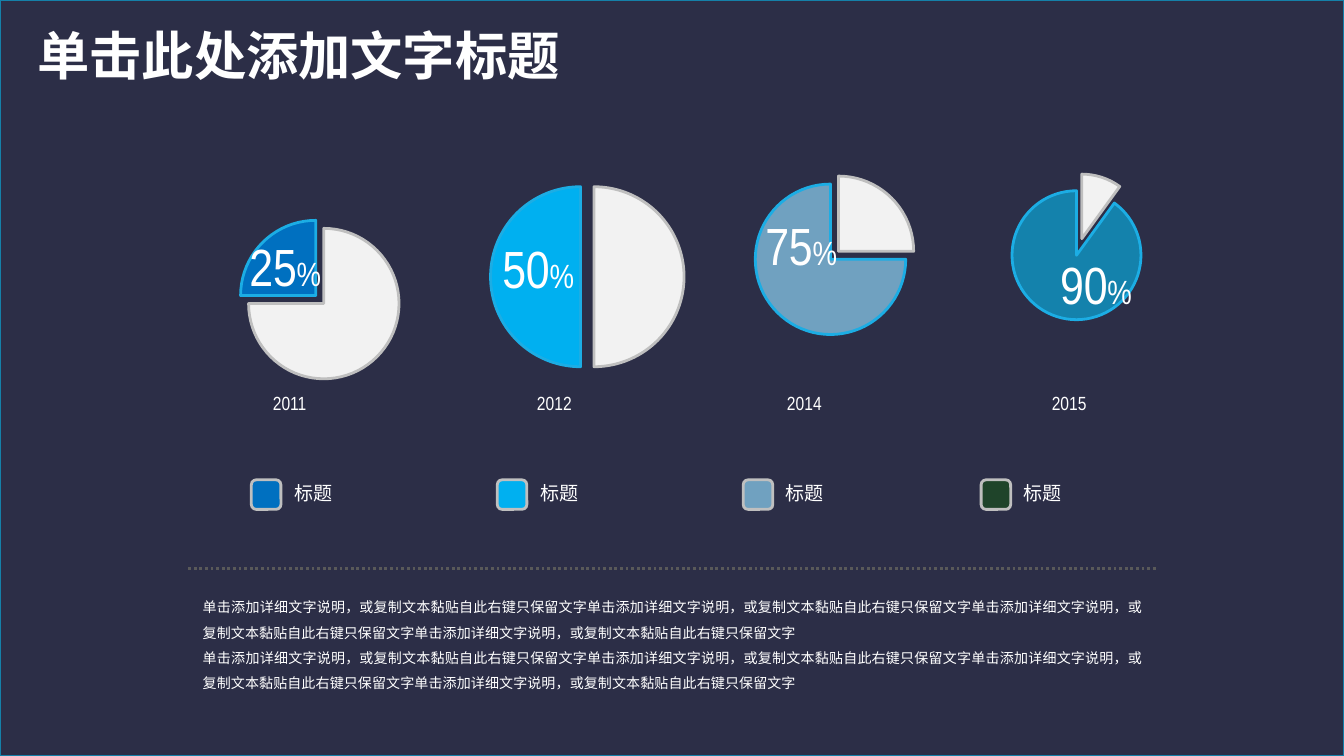
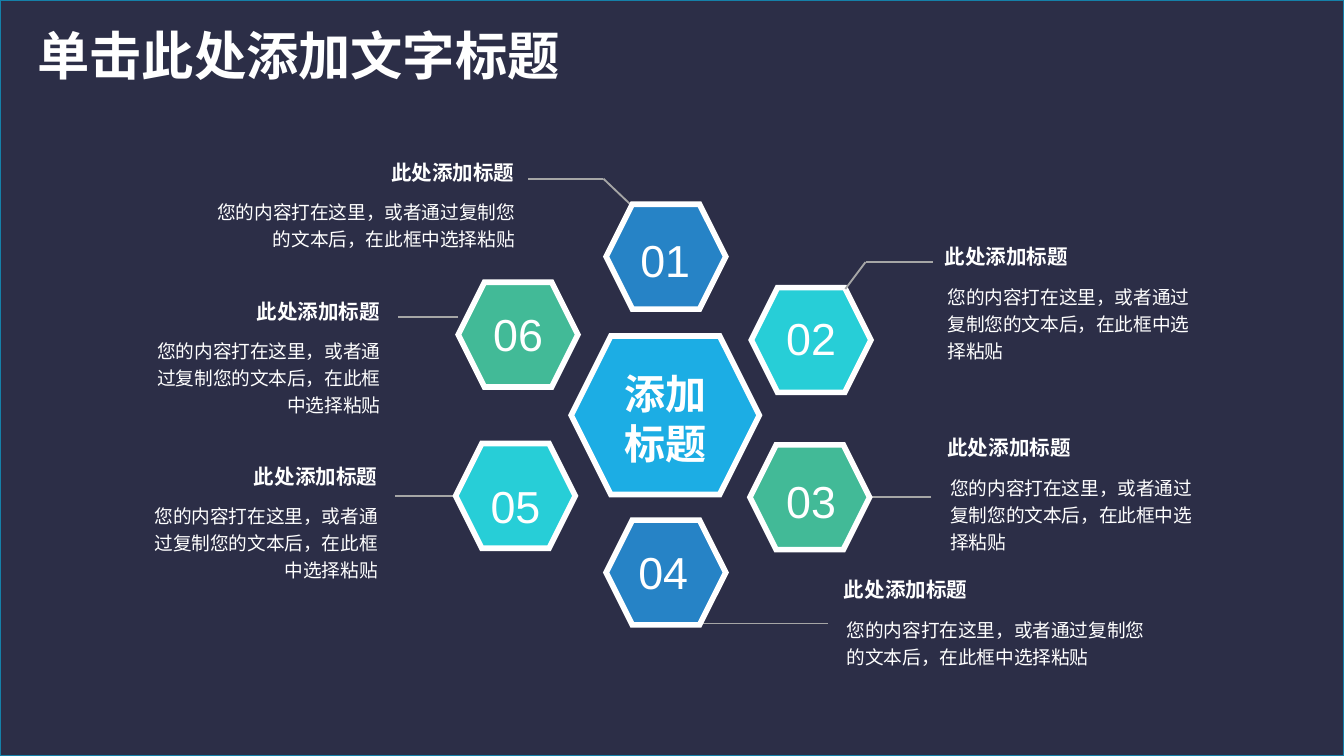
"""Build two dark infographic slides: yearly pies and a hexagon ring."""
from lxml.etree import SubElement
from pptx import Presentation
from pptx.chart.data import CategoryChartData
from pptx.dml.color import RGBColor
from pptx.enum.chart import XL_CHART_TYPE, XL_LABEL_POSITION
from pptx.enum.dml import MSO_LINE
from pptx.enum.shapes import MSO_CONNECTOR, MSO_SHAPE
from pptx.enum.text import MSO_ANCHOR, MSO_AUTO_SIZE, PP_ALIGN
from pptx.oxml import parse_xml
from pptx.oxml.ns import nsdecls, qn
from pptx.util import Inches, Pt

WHITE = RGBColor(0xFF, 0xFF, 0xFF)
BLACK = RGBColor(0x00, 0x00, 0x00)
NAVY = RGBColor(0x2C, 0x2E, 0x47)
EDGE = RGBColor(0x15, 0x80, 0xA9)
PALE = RGBColor(0xF2, 0xF2, 0xF2)
SILVER = RGBColor(0xBF, 0xBF, 0xBF)
GRAY = RGBColor(0xA6, 0xA6, 0xA6)
DARK = RGBColor(0x59, 0x59, 0x59)
BLUE = RGBColor(0x00, 0x70, 0xC0)
SKY = RGBColor(0x00, 0xB0, 0xF0)
STEEL = RGBColor(0x70, 0xA1, 0xC0)
TEAL = RGBColor(0x14, 0x82, 0xAC)
FOREST = RGBColor(0x1F, 0x44, 0x2A)
AZURE = RGBColor(0x1C, 0xAD, 0xE4)
COBALT = RGBColor(0x26, 0x83, 0xC6)
AQUA = RGBColor(0x27, 0xCE, 0xD7)
GREEN = RGBColor(0x42, 0xBA, 0x97)

SANS = "Noto Sans CJK SC"
SLIM = "Arial Narrow"
WIDTH = 10
HEIGHT = WIDTH * 9 / 16
TITLE = "单击此处添加文字标题"
HEAD = "此处添加标题"
BODY = "您的内容打在这里，或者通过复制您的文本后，在此框中选择粘贴"
DETAIL = "单击添加详细文字说明，或复制文本黏贴自此右键只保留文字" * 4
TIGHT = (0.07, 0.03)


def face(font, name, size, color=WHITE, bold=False):
    font.name, font.size, font.bold = name, Pt(size), bold
    font.color.rgb = color


def write(frame, text, font=SANS, size=10, color=WHITE, bold=False,
          align=PP_ALIGN.LEFT, space=1, wrap=True, pad=(0.1, 0.05)):
    frame.word_wrap = wrap
    frame.auto_size = MSO_AUTO_SIZE.NONE
    frame.vertical_anchor = MSO_ANCHOR.MIDDLE
    frame.margin_left = frame.margin_right = Inches(pad[0])
    frame.margin_top = frame.margin_bottom = Inches(pad[1])
    for i, line in enumerate(text.split("\n")):
        para = frame.add_paragraph() if i else frame.paragraphs[0]
        para.alignment, para.line_spacing = align, space
        run = para.add_run()
        run.text = line
        face(run.font, font, size, color, bold)


def layout(x, y, w=None, h=None):
    mode = '<c:xMode val="edge"/><c:yMode val="edge"/>' if w else ""
    target = '<c:layoutTarget val="inner"/>' if w else ""
    size = f'<c:w val="{w:.4f}"/><c:h val="{h:.4f}"/>' if w else ""
    return parse_xml(
        f'<c:layout {nsdecls("c")}><c:manualLayout>{target}{mode}'
        f'<c:x val="{x:.4f}"/><c:y val="{y:.4f}"/>{size}'
        '</c:manualLayout></c:layout>')


class Deck:
    def __init__(self):
        self.show = Presentation()
        self.show.slide_width = Inches(WIDTH)
        self.show.slide_height = Inches(HEIGHT)
        self.base = self.show.slide_layouts[5]
        self.slide = None

    def page(self, title):
        first = self.slide is None
        self.slide = self.show.slides.add_slide(self.base)
        if first:
            back = self.shape(MSO_SHAPE.RECTANGLE, 0, 0, WIDTH, HEIGHT,
                              NAVY, EDGE, 1)
            self.base.shapes._spTree.insert(2, back._element)
        head = self.slide.shapes.title
        head.left, head.top = Inches(0.18), Inches(0.12)
        head.width, head.height = Inches(4.13), Inches(0.57)
        write(head.text_frame, title, size=28, bold=True, wrap=False)

    def shape(self, kind, x, y, w, h, fill, edge, weight):
        item = self.slide.shapes.add_shape(
            kind, Inches(x), Inches(y), Inches(w), Inches(h))
        item.shadow.inherit = False
        item.fill.solid()
        item.fill.fore_color.rgb = fill
        item.line.color.rgb = edge
        item.line.width = Pt(weight)
        SubElement(item._element.spPr.find(qn("a:ln")), qn("a:miter"),
                   lim="800000")
        return item

    def text(self, text, x, y, w, h, **style):
        box = self.slide.shapes.add_textbox(
            Inches(x), Inches(y), Inches(w), Inches(h))
        write(box.text_frame, text, **style)

    def line(self, start, end, color=GRAY, weight=1, dash=None):
        link = self.slide.shapes.add_connector(
            MSO_CONNECTOR.STRAIGHT, *map(Inches, start + end))
        link.line.color.rgb = color
        link.line.width = Pt(weight)
        if dash:
            link.line.dash_style = dash
        SubElement(link._element.spPr, qn("a:effectLst"))

    def trail(self, *points):
        for start, end in zip(points, points[1:]):
            self.line(start, end)

    def pie(self, x, share, fill, mid, radius, burst, shift):
        y, w, h = 1.15, 2.96, 1.83
        data = CategoryChartData()
        data.categories = ["1", "2"]
        data.add_series("Series 1", [100 - share, share, None, None])
        chart = self.slide.shapes.add_chart(
            XL_CHART_TYPE.PIE, Inches(x), Inches(y), Inches(w), Inches(h),
            data).chart
        chart.has_legend = chart.has_title = False
        face(chart.font, "Calibri", 10, BLACK)
        chart.plots[0].vary_by_categories = True
        part = chart.plots[0].series[0]
        for i, (tint, rim) in enumerate([(PALE, SILVER), (fill, AZURE)]):
            look = part.points[i].format
            look.fill.solid()
            look.fill.fore_color.rgb = tint
            look.line.color.rgb = rim
            look.line.width = Pt(1.5)
        part.data_labels.show_value = False
        label = part.points[1].data_label
        frame = label.text_frame
        frame.word_wrap = False
        for text, size in ((str(share), 28), ("%", 18)):
            run = frame.paragraphs[0].add_run()
            run.text = text
            face(run.font, SLIM, size)
        label.position = XL_LABEL_POSITION.CENTER

        root = chart._chartSpace
        for old in root.xpath(".//c:plotArea/c:layout | .//c:dLbl/c:layout"):
            old.getparent().remove(old)
        root.xpath(".//c:plotArea")[0].insert(0, layout(
            (mid[0] - radius - x) / w, (mid[1] - radius - y) / h,
            2 * radius / w, 2 * radius / h))
        root.xpath(".//c:dLbl")[0].insert(
            1, layout(shift[0] / w, shift[1] / h))
        for lead in root.xpath(".//c:showLeaderLines"):
            lead.set("val", "0")
        loose = 1 if share < 50 else 0
        point = root.xpath(f".//c:dPt[c:idx/@val='{loose}']")[0]
        point.xpath("./c:spPr")[0].addprevious(parse_xml(
            f'<c:explosion {nsdecls("c")} val="{burst}"/>'))

    def key(self, x, fill):
        self.shape(MSO_SHAPE.ROUNDED_RECTANGLE, x, 3.57, 0.22, 0.22,
                   fill, SILVER, 1.5)
        self.text("标题", x + 0.22, 3.53, 1.14, 0.27, font="Roboto", size=10.2)

    def hexa(self, x, y, fill, w=0.89, h=0.78):
        self.shape(MSO_SHAPE.HEXAGON, x, y, w, h, fill, WHITE, 3)

    def note(self, x, y, width, left):
        self.text(HEAD, x, y, 1.06, 0.25, size=11, bold=True, wrap=False,
                  align=PP_ALIGN.RIGHT, pad=TIGHT)
        start = x + 1.06 - width if left else x + 0.02
        self.text(BODY, start, y + (0.27 if left else 0.28), width,
                  0.67 if width < 2 else 0.47, space=1.2, pad=TIGHT,
                  align=PP_ALIGN.RIGHT if left else PP_ALIGN.LEFT)


def years(deck):
    deck.page(TITLE)
    pies = [
        (0.65, 25, BLUE, (2.41, 2.26), 0.56, 15, (-0.03, 0.03)),
        (2.57, 50, SKY, (4.32, 2.06), 0.67, 15, (0.02, -0.01)),
        (4.48, 75, STEEL, (6.18, 1.93), 0.56, 15, (-0.02, -0.25)),
        (6.39, 90, TEAL, (8.01, 1.9), 0.48, 27, (0.22, 0.04)),
    ]
    for row in pies:
        deck.pie(*row)
    for year, x in (("2011", 1.64), ("2012", 3.61),
                    ("2014", 5.47), ("2015", 7.44)):
        deck.text(year, x, 2.86, 1.03, 0.27, font=SLIM, size=10.2,
                  align=PP_ALIGN.CENTER)
    for x, fill in ((1.87, BLUE), (3.7, SKY), (5.53, STEEL), (7.3, FOREST)):
        deck.key(x, fill)
    deck.line((1.4, 4.23), (8.6, 4.23), DARK, 1.5, MSO_LINE.ROUND_DOT)
    deck.text(f"{DETAIL}\n{DETAIL}", 1.41, 4.34, 7.18, 0.86, size=7.5,
              align=PP_ALIGN.JUSTIFY, space=1.5)


def ring(deck):
    deck.page(TITLE)
    deck.trail((6.93, 3.7), (6.48, 3.7))
    deck.trail((5.21, 4.64), (6.16, 4.64))
    deck.trail((3.39, 3.69), (2.94, 3.69))
    deck.trail((3.41, 2.36), (2.96, 2.36))
    deck.trail((4.7, 1.53), (4.49, 1.33), (3.93, 1.33))
    cells = [
        ("01", 4.51, 1.52, COBALT, (4.62, 1.6, 0.66, 0.59), 1.2),
        ("02", 5.59, 2.14, AQUA, (5.73, 2.26, 0.61, 0.5), 1),
        ("03", 5.58, 3.31, GREEN, (5.69, 3.39, 0.69, 0.59), 1.2),
        ("04", 4.51, 3.87, COBALT, (4.63, 4, 0.61, 0.5), 1),
        ("05", 3.39, 3.3, AQUA, (3.53, 3.43, 0.61, 0.59), 1.2),
        ("06", 3.41, 2.1, GREEN, (3.55, 2.23, 0.61, 0.5), 1),
    ]
    for num, x, y, fill, box, space in cells:
        deck.hexa(x, y, fill)
        deck.text(num, *box, font="Arial", size=24, space=space,
                  align=PP_ALIGN.CENTER)
    notes = [
        (2.84, 1.16, 2.44, True),
        (1.84, 2.19, 1.87, True),
        (1.82, 3.42, 1.87, True),
        (6.96, 1.78, 1.99, False),
        (6.98, 3.2, 1.99, False),
        (6.21, 4.26, 2.4, False),
    ]
    for row in notes:
        deck.note(*row)
    deck.trail((6.29, 2.15), (6.44, 1.95), (6.94, 1.95))
    deck.hexa(4.25, 2.5, AZURE, 1.4, 1.18)
    deck.text("添加标题", 4.52, 2.69, 0.86, 0.84, size=22, bold=True,
              align=PP_ALIGN.CENTER)


def main():
    deck = Deck()
    years(deck)
    ring(deck)
    deck.show.save("out.pptx")


if __name__ == "__main__":
    main()
